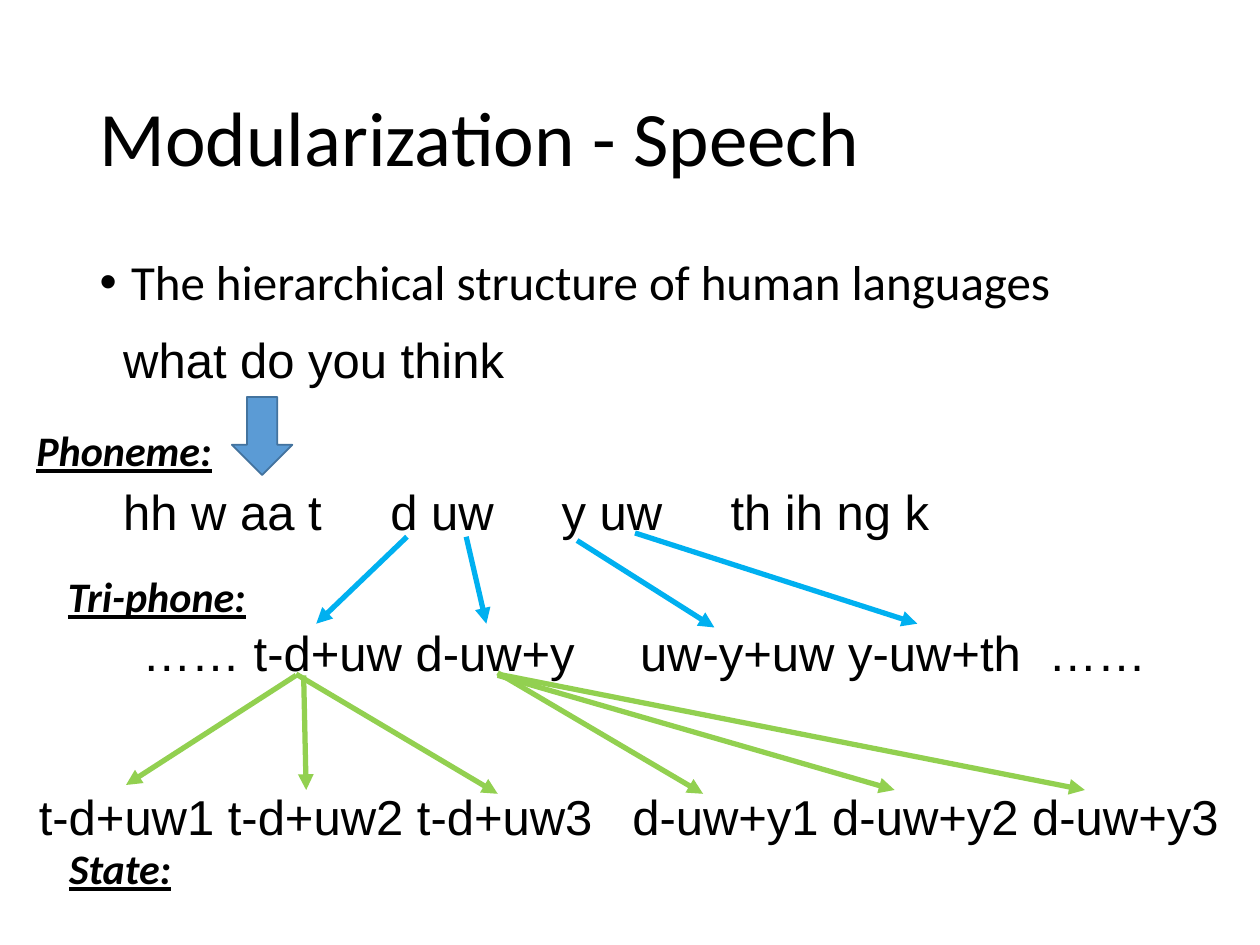
from dataclasses import dataclass

from lxml.etree import SubElement
from pptx import Presentation
from pptx.dml.color import RGBColor
from pptx.enum.shapes import MSO_CONNECTOR, MSO_SHAPE
from pptx.enum.text import MSO_ANCHOR, MSO_AUTO_SIZE, PP_ALIGN
from pptx.oxml.ns import qn
from pptx.util import Inches, Pt


@dataclass(frozen=True)
class Theme:
    ink: RGBColor = RGBColor(0x00, 0x00, 0x00)
    block: RGBColor = RGBColor(0x5B, 0x9B, 0xD5)
    block_edge: RGBColor = RGBColor(0x43, 0x73, 0x9E)
    to_triphone: RGBColor = RGBColor(0x00, 0xB0, 0xF0)
    to_state: RGBColor = RGBColor(0x92, 0xD0, 0x50)
    heading_font: str = "Calibri"
    sample_font: str = "Arial"
    title_size: int = 44
    text_size: int = 28
    level_size: int = 24


THEME = Theme()

SAMPLES = [
    ("what do you think", (0.88, 2.57, 3.26, 0.57), {}),
    ("hh w aa t\td uw\ty uw\tth ih ng k", (0.88, 3.77, 6.77, 0.57),
     {"tabs": (2.12, 3.48, 4.82)}),
    ("…… t-d+uw d-uw+y\tuw-y+uw y-uw+th\t……", (0.93, 4.89, 8.5, 0.57),
     {"tabs": (3.95, 7.19), "inset": 0.2}),
    ("t-d+uw1 t-d+uw2 t-d+uw3", (0.21, 6.19, 4.65, 0.57), {}),
    ("d-uw+y1 d-uw+y2 d-uw+y3", (4.92, 6.19, 4.92, 0.57), {}),
]

LEVELS = [
    ("Phoneme:", (0.19, 3.32, 1.63, 0.5)),
    ("Tri-phone:", (0.44, 4.48, 1.69, 0.5)),
    ("State:", (0.45, 6.64, 1.69, 0.5)),
]

TRIPHONE_ARROWS = [
    ((3.23, 4.26), (2.51, 4.95)),
    ((3.7, 4.26), (3.86, 4.95)),
    ((4.58, 4.29), (5.67, 4.98)),
    ((5.04, 4.23), (7.28, 4.95)),
]

STATE_ARROWS = [
    ((2.35, 5.36), (1, 6.23)),
    ((2.41, 5.36), (2.43, 6.27)),
    ((2.35, 5.35), (3.95, 6.3)),
    ((3.95, 5.34), (5.58, 6.3)),
    ((3.95, 5.36), (7.1, 6.27)),
    ((3.95, 5.35), (8.61, 6.27)),
]


def write(frame, text, *, size, font, emphasis=None, spacing=None, before=None):
    paragraph = frame.paragraphs[0]
    paragraph.alignment = PP_ALIGN.LEFT
    paragraph.line_spacing = spacing
    if before is not None:
        paragraph.space_before = Pt(before)
    run = paragraph.add_run()
    run.text = text
    run.font.name = font
    run.font.size = Pt(size)
    run.font.color.rgb = THEME.ink
    run.font.bold = run.font.italic = run.font.underline = emphasis
    return paragraph


def fill_placeholder(placeholder, text, box, anchor, **style):
    placeholder.left, placeholder.top, placeholder.width, placeholder.height = map(Inches, box)
    frame = placeholder.text_frame
    frame.vertical_anchor = anchor
    frame.auto_size = MSO_AUTO_SIZE.NONE
    return write(frame, text, font=THEME.heading_font, spacing=0.9, **style)


def set_bullet(paragraph, indent):
    properties = paragraph._p.get_or_add_pPr()
    properties.set("marL", str(Inches(indent)))
    properties.set("indent", str(-Inches(indent)))
    SubElement(properties, qn("a:buFont"), typeface="Arial")
    SubElement(properties, qn("a:buChar"), char="•")


def set_tabs(paragraph, stops):
    tab_list = SubElement(paragraph._p.get_or_add_pPr(), qn("a:tabLst"))
    for stop in stops:
        SubElement(tab_list, qn("a:tab"), pos=str(Inches(stop)), algn="l")


def add_label(slide, text, box, *, tabs=(), inset=0.1, **style):
    frame = slide.shapes.add_textbox(*map(Inches, box)).text_frame
    frame.word_wrap = True
    frame.auto_size = MSO_AUTO_SIZE.SHAPE_TO_FIT_TEXT
    frame.margin_left = Inches(inset)
    frame.margin_right = 0
    paragraph = write(frame, text, **style)
    if tabs:
        set_tabs(paragraph, tabs)


def add_block_arrow(slide, box):
    arrow = slide.shapes.add_shape(MSO_SHAPE.DOWN_ARROW, *map(Inches, box))
    arrow.shadow.inherit = False
    arrow.fill.solid()
    arrow.fill.fore_color.rgb = THEME.block
    arrow.line.color.rgb = THEME.block_edge
    arrow.line.width = Pt(1)


def add_arrow(slide, start, end, color):
    arrow = slide.shapes.add_connector(
        MSO_CONNECTOR.STRAIGHT, *map(Inches, (*start, *end)))
    arrow.line.color.rgb = color
    arrow.line.width = Pt(3)
    SubElement(arrow.line._get_or_add_ln(), qn("a:tailEnd"), type="triangle")
    SubElement(arrow._element.spPr, qn("a:effectLst"))


def main():
    deck = Presentation()
    deck.slide_width, deck.slide_height = Inches(10), Inches(7.5)
    slide = deck.slides.add_slide(deck.slide_layouts[1])

    fill_placeholder(slide.shapes.title, "Modularization - Speech",
                     (0.69, 0.4, 8.62, 1.45), MSO_ANCHOR.MIDDLE, size=THEME.title_size)
    topic = fill_placeholder(
        slide.placeholders[1], "The hierarchical structure of human languages",
        (0.69, 2, 8.62, 4.76), MSO_ANCHOR.TOP, size=THEME.text_size, before=10)
    set_bullet(topic, 0.25)

    for text, box, layout in SAMPLES:
        add_label(slide, text, box, size=THEME.text_size, font=THEME.sample_font, **layout)
    add_block_arrow(slide, (1.84, 3.15, 0.48, 0.62))
    for text, box in LEVELS:
        add_label(slide, text, box, size=THEME.level_size, font=THEME.heading_font,
                  emphasis=True)
    for arrows, color in ((TRIPHONE_ARROWS, THEME.to_triphone),
                          (STATE_ARROWS, THEME.to_state)):
        for start, end in arrows:
            add_arrow(slide, start, end, color)

    deck.save("out.pptx")


if __name__ == "__main__":
    main()
